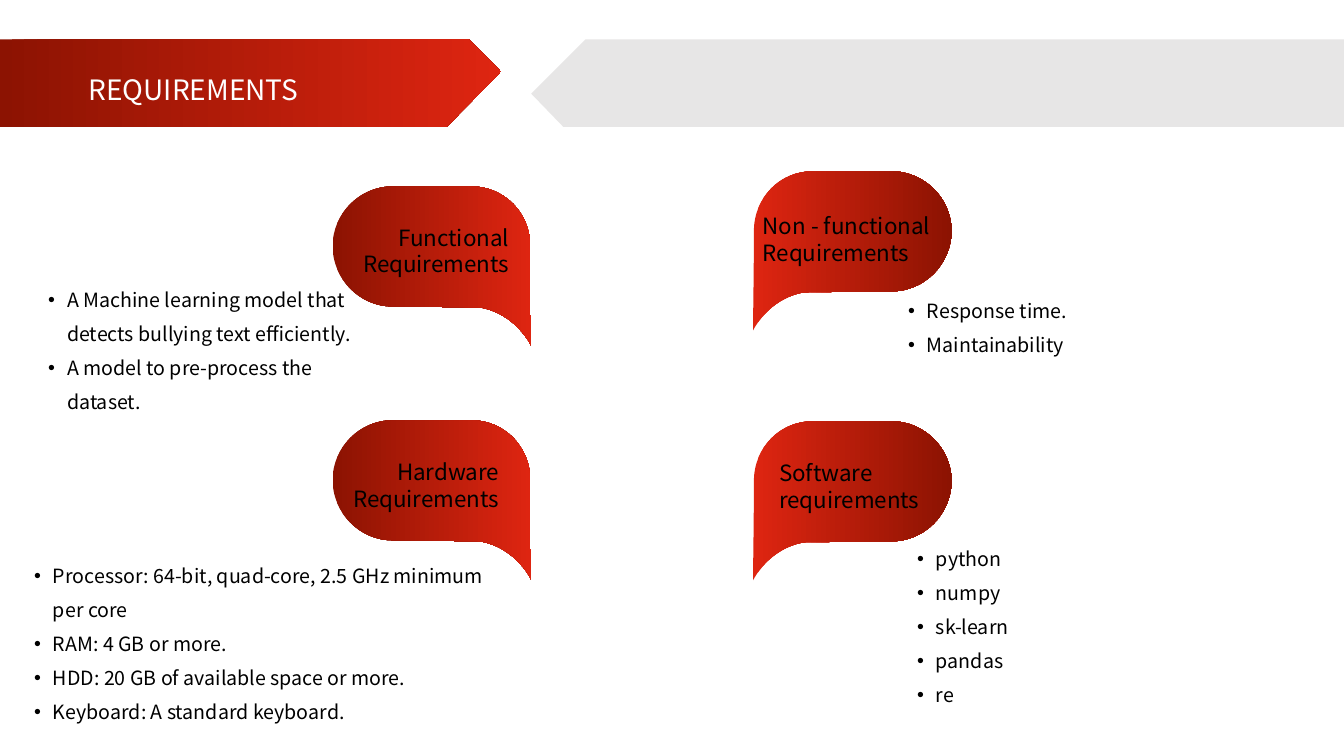
from lxml.etree import SubElement
from pptx import Presentation
from pptx.dml.color import RGBColor
from pptx.enum.text import MSO_AUTO_SIZE as AutoSize, PP_ALIGN as Align
from pptx.oxml.ns import qn
from pptx.util import Inches, Pt

DARK_RED = RGBColor(0x8C, 0x13, 0x02)
RED = RGBColor(0xDE, 0x25, 0x11)
GREY = RGBColor(0xE7, 0xE6, 0xE6)
WHITE = RGBColor(0xFF, 0xFF, 0xFF)
BLACK = RGBColor(0x00, 0x00, 0x00)

SLIDE_WIDTH = 40 / 3
BULLET_INDENT = 3 / 16

TITLE_ARROW = [(0, 0.39), (4.65, 0.39), (4.97, 0.71), (4.43, 1.26), (0, 1.26)]
GREY_ARROW = [(5.81, 0.39), (SLIDE_WIDTH, 0.39), (SLIDE_WIDTH, 1.26), (5.59, 1.26), (5.27, 0.93)]

BUBBLE_WIDTH = 1.97
BUBBLE_START = (1.38, 0)
BUBBLE_CURVES = [
    [(1.7, 0), (1.96, 0.26), (1.96, 0.59)],
    [(1.96, 0.92), (1.97, 1.58), (1.97, 1.58)],
    [(1.97, 1.58), (1.82, 1.26), (1.46, 1.2)],
    [(1.41, 1.2), (0.59, 1.19), (0.59, 1.19)],
    [(0.27, 1.19), (0, 0.92), (0, 0.59)],
    [(0, 0.27), (0.27, 0), (0.59, 0)],
]

BUBBLES = [(3.3, 1.85, False), (3.3, 4.17, False), (7.47, 1.7, True), (7.47, 4.18, True)]
HEADINGS = [
    ("Functional Requirements", (2.81, 2.17, 2.34, 0.64), Align.RIGHT),
    ("Non - functional Requirements", (7.47, 2.06, 2.14, 0.64), Align.LEFT),
    ("Hardware Requirements", (2.7, 4.5, 2.35, 0.64), Align.RIGHT),
    ("Software requirements", (7.63, 4.51, 2.35, 0.64), Align.LEFT),
]
LISTS = [
    ((0.38, 2.7, 3.22, 1.81), [
        ("A Machine learning model that detects bullying text efficiently.", True),
        ("A model to pre-process the dataset.", True),
    ]),
    ((8.91, 2.81, 3.22, 0.78), [("Response time.", True), ("Maintainability", True)]),
    ((0.24, 5.44, 5.26, 1.81), [
        ("Processor: 64-bit, quad-core, 2.5 GHz minimum", True),
        ("per core", False),
        ("RAM: 4 GB or more.", True),
        ("HDD: 20 GB of available space or more.", True),
        ("Keyboard: A standard keyboard.", True),
    ]),
    ((9, 5.27, 5.26, 2.32),
     [(name, True) for name in ("python", "numpy", "sk-learn", "pandas", "re")]),
]


def write(p, text, size=14, color=BLACK, font="Noto Sans CJK SC", align=None,
          spacing=None, indent=0, bullet=False):
    r = p.add_run()
    r.text = text
    r.font.size = Pt(size)
    r.font.name = font
    r.font.color.rgb = color
    if align is not None:
        p.alignment = align
    if spacing:
        p.line_spacing = spacing
    if indent:
        pPr = p._p.get_or_add_pPr()
        pPr.set("marL", str(Inches(indent)))
        pPr.set("indent", str(-Inches(indent) if bullet else 0))
        if bullet:
            SubElement(pPr, qn("a:buFont")).set("typeface", "Arial")
            SubElement(pPr, qn("a:buChar")).set("char", "•")


class RequirementsSlide:
    def __init__(self, prs):
        self.s = prs.slides.add_slide(prs.slide_layouts[6])

    def outline(self, points, *colors):
        first, *rest = [(Inches(x), Inches(y)) for x, y in points]
        builder = self.s.shapes.build_freeform(*first)
        builder.add_line_segments(rest, close=True)
        sp = builder.convert_to_shape()
        sp.shadow.inherit = False
        sp.line.fill.background()
        if len(colors) == 1:
            sp.fill.solid()
            sp.fill.fore_color.rgb = colors[0]
        else:
            sp.fill.gradient()
            sp.fill.gradient_angle = 0
            for stop, color in zip(sp.fill.gradient_stops, colors):
                stop.color.rgb = color
        return sp

    def bubble(self, left, top, mirrored):
        def flip(x):
            return BUBBLE_WIDTH - x if mirrored else x

        corners = [BUBBLE_START] + [curve[-1] for curve in BUBBLE_CURVES]
        colors = (RED, DARK_RED) if mirrored else (DARK_RED, RED)
        sp = self.outline([(left + flip(x), top + y) for x, y in corners], *colors)
        lines = list(sp._element.iter(qn("a:lnTo")))
        for line, curve in zip(lines, BUBBLE_CURVES):
            line.tag = qn("a:cubicBezTo")
            line.clear()
            for x, y in curve:
                pt = SubElement(line, qn("a:pt"))
                pt.set("x", str(Inches(flip(x))))
                pt.set("y", str(Inches(y)))

    def frame(self, box):
        tf = self.s.shapes.add_textbox(*map(Inches, box)).text_frame
        tf.word_wrap = True
        tf.auto_size = AutoSize.SHAPE_TO_FIT_TEXT
        return tf

    def text(self, text, box, **style):
        write(self.frame(box).paragraphs[0], text, **style)

    def bullets(self, box, items):
        tf = self.frame(box)
        for i, (text, bullet) in enumerate(items):
            p = tf.add_paragraph() if i else tf.paragraphs[0]
            write(p, text, spacing=1.45, indent=BULLET_INDENT, bullet=bullet)


def main():
    prs = Presentation()
    prs.slide_width = Inches(SLIDE_WIDTH)
    prs.slide_height = Inches(7.5)
    slide = RequirementsSlide(prs)
    slide.outline(TITLE_ARROW, DARK_RED, RED)
    slide.text("REQUIREMENTS", (0.78, 0.57, 4.19, 0.54), size=20, color=WHITE, spacing=1.3)
    slide.outline(GREY_ARROW, GREY)
    for left, top, mirrored in BUBBLES:
        slide.bubble(left, top, mirrored)
    for (heading, place, align), (box, items) in zip(HEADINGS, LISTS):
        slide.text(heading, place, size=16, align=align)
        slide.bullets(box, items)
    prs.save("out.pptx")


if __name__ == "__main__":
    main()
